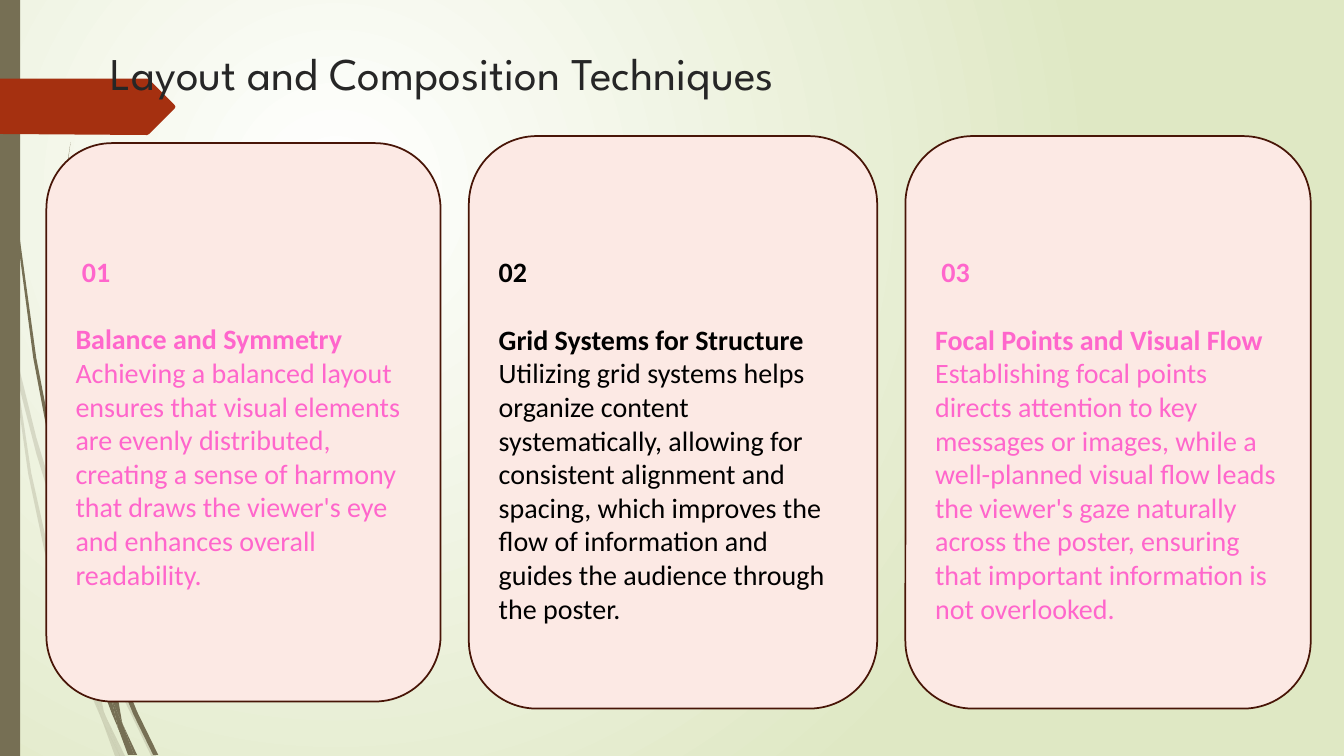
from dataclasses import dataclass

from lxml import etree
from pptx import Presentation
from pptx.dml.color import RGBColor
from pptx.enum.shapes import MSO_SHAPE
from pptx.enum.text import MSO_ANCHOR, PP_ALIGN
from pptx.oxml.ns import qn
from pptx.util import Inches, Pt

ROUNDED = MSO_SHAPE.ROUNDED_RECTANGLE
RECTANGLE = MSO_SHAPE.RECTANGLE
TOP, MIDDLE = MSO_ANCHOR.TOP, MSO_ANCHOR.MIDDLE
LEFT = PP_ALIGN.LEFT


@dataclass(frozen=True)
class Theme:
    glow: str = "FFFFFF"
    meadow: str = "DFE8C4"
    stem: str = "766F54"
    flag: str = "A53010"
    card: str = "FCE9E4"
    card_edge: str = "481507"
    title: str = "262626"
    pink: str = "FF66CC"
    black: str = "000000"
    title_font: str = "League Spartan"
    body_font: str = "Calibri"
    title_size: float = 32.4
    body_size: float = 20
    body_line: float = 24.4
    edge_width: float = 1.25


THEME = Theme()

# Outlines of the grass stems, as points in inches
PALE_STEMS = [
    [(0.11, 3.5), (0.09, 3.22), (0, 2.82), (0, 2.99), (0.1, 3.44)],
    [(0.58, 5.22), (0.84, 5.99), (0.85, 5.86), (0.62, 5.2), (0.36, 4.34),
     (0.14, 3.45), (0.17, 3.76), (0.36, 4.5)],
    [(0.92, 6.07), (0.88, 5.96), (0.88, 6.1), (1.23, 6.94), (1.5, 7.5),
     (1.55, 7.5), (1.27, 6.92)],
    [(1.19, 7.5), (1.24, 7.5), (1.05, 7.11)],
    [(0.93, 6.83), (0.7, 6.19), (0.48, 5.45), (0.31, 4.69), (0.17, 3.76),
     (0.11, 3.5), (0.28, 4.7), (0.44, 5.46), (0.65, 6.21), (0.92, 6.93),
     (1.01, 7.14), (0.99, 7.07)],
    [(0.84, 5.99), (0.87, 6.46), (0.93, 6.83), (0.96, 6.92), (1.05, 7.11),
     (1.03, 7.06), (0.91, 6.46), (0.88, 6.1), (0.88, 6.08)],
    [(1.01, 7.14), (1.14, 7.5), (1.19, 7.5)],
    [(0.96, 6.92), (0.93, 6.83), (0.99, 7.07), (1.01, 7.14), (1.19, 7.5),
     (1.05, 7.11)],
]
DARK_STEMS = [
    [(0.07, 1.1), (0.17, 2.33), (0.33, 3.55), (0.56, 4.77), (0.57, 4.81),
     (0.55, 4.57), (0.55, 4.53), (0.36, 3.55), (0.19, 2.32), (0.08, 1.09),
     (0.05, 0.48), (0.04, 0), (0.03, 0), (0.04, 0.48)],
    [(1.13, 6.49), (1.1, 6.41), (1.11, 6.56), (1.32, 7.08), (1.52, 7.49),
     (1.57, 7.49), (1.36, 7.06)],
    [(1.1, 6.91), (0.98, 6.57), (0.84, 6.07), (0.72, 5.56), (0.64, 5.05),
     (0.57, 4.77), (0.68, 5.57), (0.79, 6.08), (0.93, 6.59), (1.11, 7.08),
     (1.17, 7.22), (1.16, 7.17)],
    [(0.6, 4.72), (0.58, 4.53), (0.54, 3.49), (0.58, 2.45), (0.63, 1.93),
     (0.7, 1.41), (0.62, 1.93), (0.56, 2.45), (0.52, 3.49), (0.55, 4.49)],
    [(1.33, 7.49), (1.36, 7.49), (1.22, 7.19)],
    [(1.17, 7.22), (1.27, 7.49), (1.31, 7.49)],
    [(1.06, 6.45), (1.1, 6.91), (1.16, 7.06), (1.22, 7.19), (1.21, 7.16),
     (1.11, 6.56), (1.09, 6.51)],
    [(1.16, 7.06), (1.1, 6.91), (1.16, 7.17), (1.17, 7.22), (1.3, 7.49),
     (1.33, 7.49), (1.22, 7.19)],
]
FLAG = [(1.73, 1.08), (1.48, 1.33), (1.46, 1.34), (0, 1.33), (0, 0.78),
        (1.46, 0.78), (1.48, 0.79), (1.73, 1.04), (1.74, 1.06)]

# Position, top margin, colour, number, heading, explanation
TECHNIQUES = [
    ((0.46, 1.42, 3.91, 5.54), 0.05, THEME.pink, " 01", "Balance and Symmetry",
     "Achieving a balanced layout ensures that visual elements are evenly "
     "distributed, creating a sense of harmony that draws the viewer's eye "
     "and enhances overall readability."),
    ((4.65, 1.35, 4.05, 5.68), 0.39, THEME.black, "02", "Grid Systems for Structure",
     "Utilizing grid systems helps organize content systematically, allowing "
     "for consistent alignment and spacing, which improves the flow of "
     "information and guides the audience through the poster."),
    ((8.98, 1.35, 4.02, 5.68), 0.39, THEME.pink, " 03", "Focal Points and Visual Flow",
     "Establishing focal points directs attention to key messages or images, "
     "while a well-planned visual flow leads the viewer's gaze naturally "
     "across the poster, ensuring that important information is not overlooked."),
]


def write(paragraph, text, *, font, size, color, bold=False, before=0):
    paragraph.alignment = LEFT
    paragraph.space_before = Pt(before)
    run = paragraph.add_run()
    run.text = text
    run.font.name = font
    run.font.size = Pt(size)
    run.font.bold = bold
    run.font.color.rgb = RGBColor.from_string(color)


class SlideBuilder:
    def __init__(self, slide, theme):
        self.slide = slide
        self.theme = theme

    def background(self):
        """Radial glow from the upper left."""
        fill = self.slide.background.fill
        fill.gradient()
        colors = (self.theme.glow, self.theme.meadow)
        for stop, position, color in zip(fill.gradient_stops, (0, 1), colors):
            stop.position = position
            stop.color.rgb = RGBColor.from_string(color)
        gradient = self.slide.element.find(".//" + qn("a:gradFill"))
        linear = gradient.find(qn("a:lin"))
        radial = etree.Element(qn("a:path"), {"path": "circle"})
        etree.SubElement(radial, qn("a:fillToRect"),
                         {"l": "50000", "t": "50000", "r": "100000", "b": "100000"})
        gradient.replace(linear, radial)

    def paint(self, shape, color, edge=None, alpha=None):
        shape.shadow.inherit = False
        shape.fill.solid()
        shape.fill.fore_color.rgb = RGBColor.from_string(color)
        if alpha is not None:
            rgb = shape.element.spPr.find(".//" + qn("a:srgbClr"))
            etree.SubElement(rgb, qn("a:alpha"), {"val": str(alpha * 1000)})
        if edge:
            shape.line.color.rgb = RGBColor.from_string(edge)
            shape.line.width = Pt(self.theme.edge_width)
        else:
            shape.line.fill.background()

    def preset(self, kind, box, color, edge=None):
        shape = self.slide.shapes.add_shape(kind, *map(Inches, box))
        self.paint(shape, color, edge)
        return shape

    def outline(self, points, color, alpha=None):
        start, *rest = [(Inches(x), Inches(y)) for x, y in points]
        builder = self.slide.shapes.build_freeform(*start)
        builder.add_line_segments(rest, close=True)
        self.paint(builder.convert_to_shape(), color, alpha=alpha)

    def title(self, text, box):
        """Fill the title placeholder and bring it in front of what is drawn so far."""
        title = self.slide.shapes.title
        title.left, title.top, title.width, title.height = map(Inches, box)
        frame = title.text_frame
        frame.vertical_anchor = TOP
        frame.word_wrap = True
        write(frame.paragraphs[0], text, font=self.theme.title_font,
              size=self.theme.title_size, color=self.theme.title)
        title.element.getparent().append(title.element)

    def card(self, box, top_margin, color, number, heading, explanation):
        theme = self.theme
        frame = self.preset(ROUNDED, box, theme.card, theme.card_edge).text_frame
        frame.word_wrap = True
        frame.vertical_anchor = MIDDLE
        frame.margin_top = Inches(top_margin)
        style = {"font": theme.body_font, "size": theme.body_size, "color": color}
        write(frame.paragraphs[0], number, bold=True, **style)
        write(frame.add_paragraph(), heading, bold=True, before=theme.body_line, **style)
        write(frame.add_paragraph(), explanation, **style)


def main():
    deck = Presentation()
    deck.slide_width, deck.slide_height = Inches(13.33), Inches(7.5)
    page = SlideBuilder(deck.slides.add_slide(deck.slide_layouts[5]), THEME)
    page.background()
    for stem in PALE_STEMS:
        page.outline(stem, THEME.stem, alpha=20)
    for stem in DARK_STEMS:
        page.outline(stem, THEME.stem)
    page.preset(RECTANGLE, (0, 0, 0.2, 7.5), THEME.stem)
    page.outline(FLAG, THEME.flag)
    page.title("Layout and Composition Techniques", (1, 0.4, 11.58, 1.02))
    for technique in TECHNIQUES:
        page.card(*technique)
    deck.save("out.pptx")


if __name__ == "__main__":
    main()
